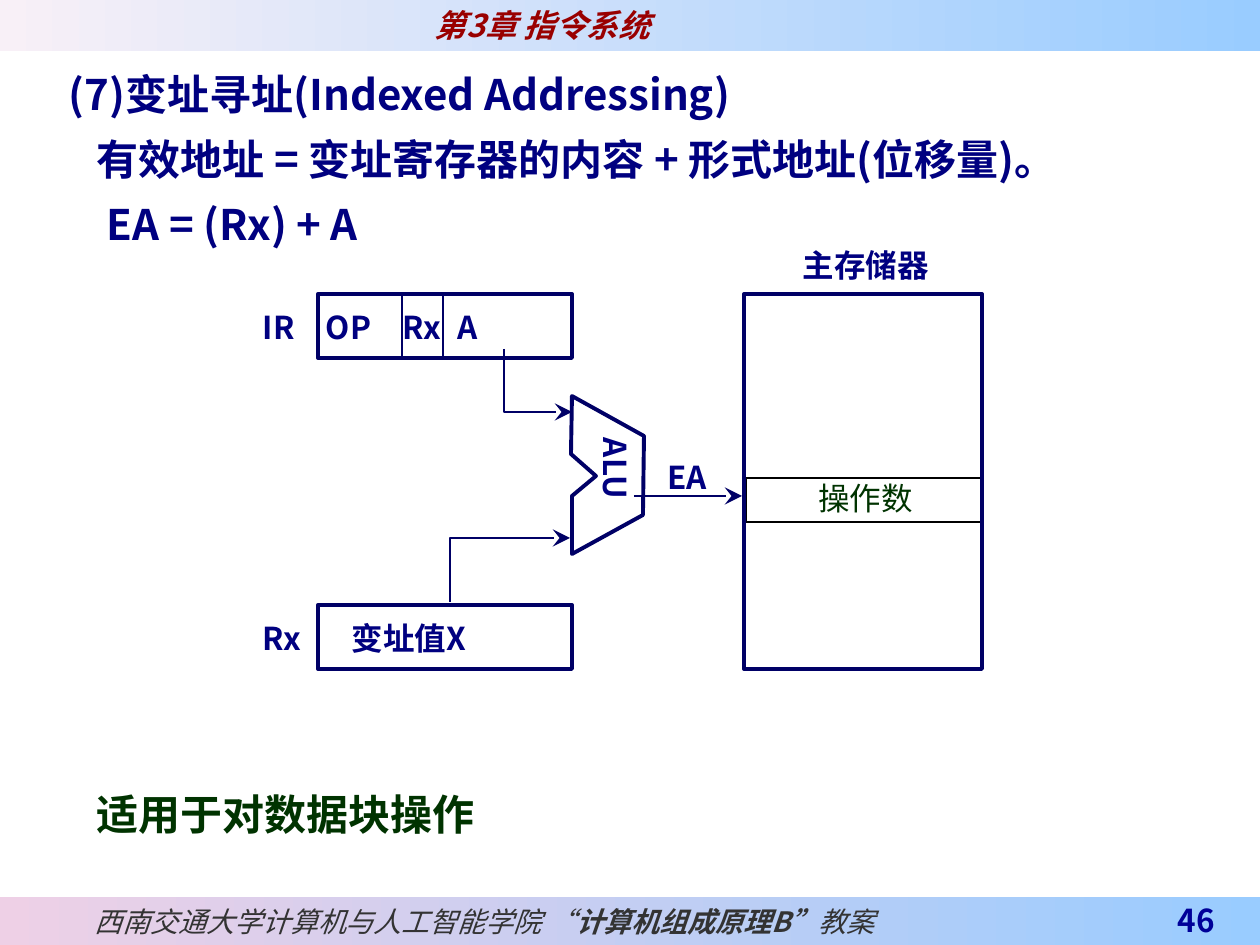
from lxml.etree import SubElement
from pptx import Presentation
from pptx.dml.color import RGBColor
from pptx.enum.shapes import MSO_CONNECTOR, MSO_SHAPE
from pptx.enum.text import MSO_ANCHOR, PP_ALIGN
from pptx.oxml.ns import qn
from pptx.util import Emu, Pt

SCALE = 914400 / 126
FONT = "Noto Sans CJK SC"
COLOURS = {
    "navy": "000080", "outline": "000066", "number": "000099",
    "green": "003300", "red": "990000", "grey": "333333",
    "black": "000000", "sky": "99CCFF", "pink": "EED0E6", "pale": "F8F0F7",
}


def px(value):
    """Turn pixels into EMU."""
    return Emu(round(value * SCALE))


def colour(name):
    """Look up a named colour."""
    return RGBColor.from_string(COLOURS[name])


def style(paragraph, size=18, ink="navy", bold=True, italic=False):
    """Set the font of a whole paragraph."""
    font = paragraph.font
    font.size, font.bold, font.italic = Pt(size), bold, italic
    font.color.rgb = colour(ink)
    font.name = FONT
    SubElement(font._element, qn("a:ea"), typeface=FONT)


def add_tabs(paragraph, stops):
    """Add left tab stops measured from the box edge."""
    tabs = SubElement(paragraph._p.get_or_add_pPr(), qn("a:tabLst"))
    for stop in stops:
        SubElement(tabs, qn("a:tab"), pos=str(px(stop)), algn="l")


def add_frame_text(page, area):
    """Add an empty wrapping text box without insets."""
    frame = page.shapes.add_textbox(*map(px, area)).text_frame
    frame.margin_left = frame.margin_right = frame.margin_top = frame.margin_bottom = 0
    frame.word_wrap = True
    return frame


def add_text(page, area, spans, align=PP_ALIGN.LEFT, stops=(), vertical=False, **look):
    """Add a one-paragraph box from (text, bold) spans or a string."""
    frame = add_frame_text(page, area)
    frame.vertical_anchor = MSO_ANCHOR.MIDDLE
    if vertical:
        frame._txBody.bodyPr.set("vert", "eaVert")
    paragraph = frame.paragraphs[0]
    paragraph.alignment = align
    if stops:
        add_tabs(paragraph, stops)
    style(paragraph, **look)
    if isinstance(spans, str):
        paragraph.add_run().text = spans
    else:
        for text, bold in spans:
            span = paragraph.add_run()
            span.text, span.font.bold = text, bold


def add_body(page, area, lines):
    """Add the heading lines, each with its own left indent."""
    frame = add_frame_text(page, area)
    for index, (text, indent) in enumerate(lines):
        paragraph = frame.add_paragraph() if index else frame.paragraphs[0]
        paragraph.line_spacing = Pt(37.4)
        paragraph._p.get_or_add_pPr().set("marL", str(px(indent)))
        style(paragraph, size=24)
        paragraph.add_run().text = text


def add_band(page, area, left, right):
    """Add a horizontal gradient band."""
    band = page.shapes.add_shape(MSO_SHAPE.RECTANGLE, *map(px, area))
    band.shadow.inherit = False
    band.line.fill.background()
    band.fill.gradient()
    band.fill.gradient_angle = 0
    for stop, name in zip(band.fill.gradient_stops, (left, right)):
        stop.color.rgb = colour(name)


def outline(shape, width, ink="outline"):
    """Give a shape a plain line and no fill."""
    shape.shadow.inherit = False
    shape.fill.background()
    shape.line.color.rgb = colour(ink)
    shape.line.width = Pt(width)


def add_frame(page, area, width=2.25, ink="outline"):
    """Add an unfilled rectangle."""
    outline(page.shapes.add_shape(MSO_SHAPE.RECTANGLE, *map(px, area)), width, ink)


def add_path(page, points, width, close=False):
    """Add an outline through the points."""
    builder = page.shapes.build_freeform(*points[0], scale=SCALE)
    builder.add_line_segments(points[1:], close=close)
    shape = builder.convert_to_shape()
    outline(shape, width)
    return shape


def add_head(shape):
    """Put a large stealth arrowhead at the end of a line."""
    SubElement(shape.line._get_or_add_ln(), qn("a:tailEnd"), type="stealth", w="lg", len="lg")


def add_arrow(page, start, end):
    """Add a straight arrow."""
    arrow = page.shapes.add_connector(MSO_CONNECTOR.STRAIGHT, *map(px, start + end))
    arrow.line.color.rgb = colour("outline")
    arrow.line.width = Pt(1.5)
    add_head(arrow)
    SubElement(arrow._element.spPr, qn("a:effectLst"))


def add_diagram(page):
    """Draw the registers, the adder and the main memory."""
    centre = PP_ALIGN.CENTER
    add_frame(page, (746, 478, 235, 44), 1, "black")
    add_frame(page, (402, 294, 41, 64), 1)
    for area in ((318, 294, 254, 64), (318, 605, 254, 64), (744, 294, 238, 375)):
        add_frame(page, area)
    alu = [(572, 396), (644, 436), (643, 515), (572, 554), (572, 496), (596, 476), (571, 454)]
    add_path(page, alu, 2.25, close=True)
    for points in ([(504, 349), (504, 412), (572, 412)], [(450, 602), (450, 538), (570, 538)]):
        add_head(add_path(page, points, 1.5))
    add_arrow(page, (634, 496), (742, 496))
    add_text(page, (263, 308, 302, 38), "IR\tOP\tRx\tA", stops=(63, 140, 195))
    add_text(page, (263, 619, 302, 38), "Rx\t变址值X", stops=(89,))
    add_text(page, (775, 246, 181, 38), "主存储器", centre)
    add_text(page, (748, 478, 235, 40), "操作数", centre, ink="green", bold=False)
    add_text(page, (650, 458, 74, 38), "EA", centre)
    add_text(page, (585, 438, 63, 64), "ALU", centre, vertical=True)


def main():
    """Build and save the slide."""
    deck = Presentation()
    deck.slide_width, deck.slide_height = px(1260), px(945)
    page = deck.slides.add_slide(deck.slide_layouts[6])
    add_band(page, (0, 897, 1260, 48), "pink", "sky")
    add_band(page, (0, 0, 1260, 51), "pale", "sky")
    add_text(page, (435, 1, 400, 48), "第3章 指令系统", ink="red", italic=True)
    footer = [("西南交通大学计算机与人工智能学院 “", False), ("计算机组成原理B”", True), ("教案", False)]
    add_text(page, (95, 897, 960, 48), footer, size=16, ink="grey", bold=False, italic=True)
    add_text(page, (1091, 897, 124, 46), "46", PP_ALIGN.RIGHT, ink="number")
    add_body(page, (69, 53, 1170, 197), [
        ("(7)变址寻址(Indexed Addressing)", 0),
        ("有效地址 = 变址寄存器的内容 + 形式地址(位移量)。", 28),
        ("EA = (Rx) + A", 38),
    ])
    add_diagram(page)
    add_text(page, (97, 783, 600, 62), "适用于对数据块操作", size=24, ink="green")
    deck.save("out.pptx")


if __name__ == "__main__":
    main()
